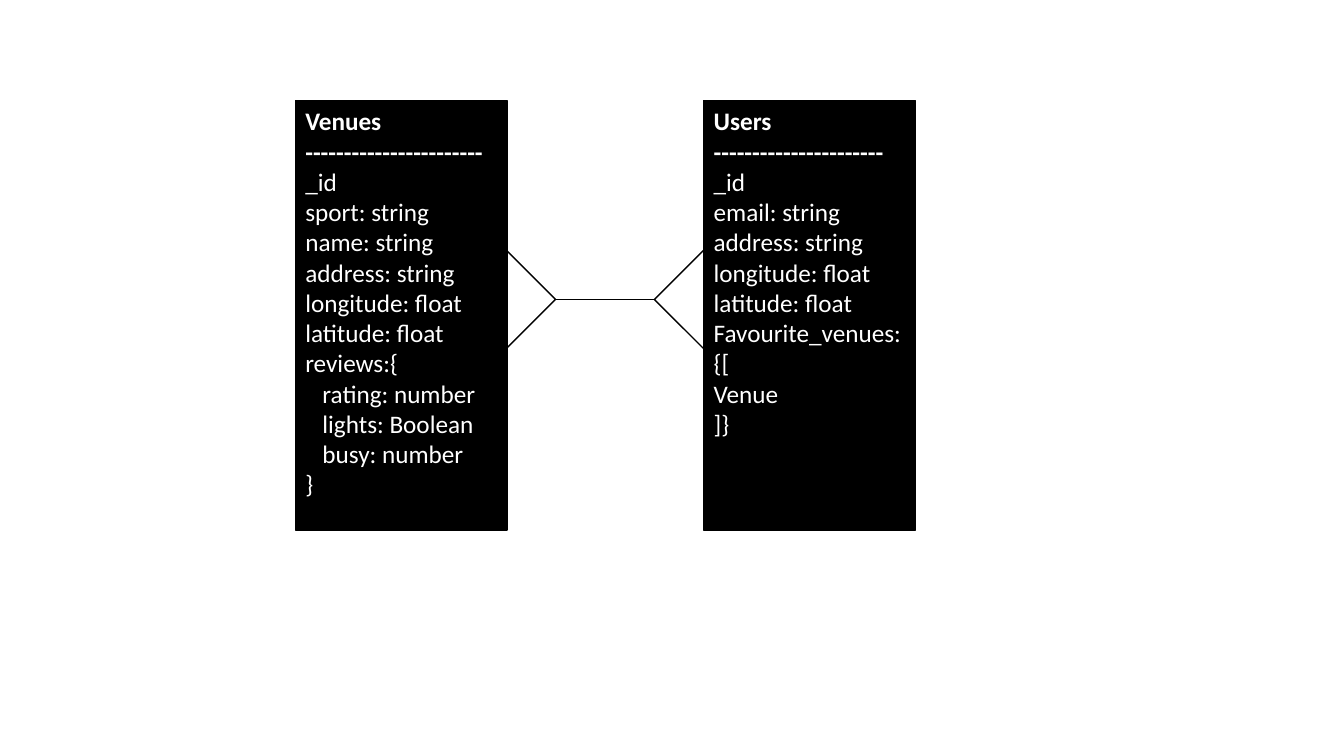
"""Builds a slide with two linked data models, Venues and Users."""
from lxml import etree
from pptx import Presentation
from pptx.dml.color import RGBColor
from pptx.enum.shapes import MSO_CONNECTOR, MSO_SHAPE
from pptx.enum.text import MSO_ANCHOR, PP_ALIGN
from pptx.oxml.ns import qn
from pptx.util import Inches, Pt

RECTANGLE, ARROW = MSO_SHAPE.RECTANGLE, MSO_SHAPE.RIGHT_ARROW
STRAIGHT = MSO_CONNECTOR.STRAIGHT
LEFT, TOP = PP_ALIGN.LEFT, MSO_ANCHOR.TOP
BLACK, WHITE, FONT = "000000", "FFFFFF", "Calibri"

MODELS = [
    ("Venues", "-" * 23, [
        (0, "_id"), (0, "sport: string"), (0, "name: string"),
        (0, "address: string"), (0, "longitude: float"),
        (0, "latitude: float"), (0, "reviews:{"),
        (1, "rating: number"), (1, "lights: Boolean"), (1, "busy: number"),
        (0, "}")]),
    ("Users", "-" * 22, [
        (0, "_id"), (0, "email: string"), (0, "address: string"),
        (0, "longitude: float"), (0, "latitude: float"),
        (0, "Favourite_venues:{["), (0, "Venue"), (0, "]}")]),
]

WIDTH, HEIGHT = 13.33, 7.5
BOX_LEFT, BOX_TOP, BOX_WIDTH, BOX_HEIGHT = 2.93, 1, 2.1, 4.26
BOX_STEP = 4.05
FORK_HEIGHT, LINK_Y = 1.01, 2.97
FORKS = [(3.65, 1.86, 0), (6.49, 1.11, 180)]
LINK_START, LINK_END = FORKS[0][0] + FORKS[0][1], FORKS[1][0]
INDENT = 0.17


def color(value):
    return RGBColor.from_string(value)


def outline(part, width):
    part.line.color.rgb = color(BLACK)
    part.line.width = Pt(width)


def add_outlined(slide, kind, left, top, width, height, fill=None):
    part = slide.shapes.add_shape(
        kind, Inches(left), Inches(top), Inches(width), Inches(height))
    part.shadow.inherit = False
    if fill:
        part.fill.solid()
        part.fill.fore_color.rgb = color(fill)
    else:
        part.fill.background()
    outline(part, 1)
    return part


def write(paragraph, text, size=18, bold=False, ink=WHITE, level=0):
    paragraph.alignment = LEFT
    if level:
        properties = paragraph._p.get_or_add_pPr()
        properties.set("marL", str(Inches(level * INDENT)))
        properties.set("indent", "0")
    run = paragraph.add_run()
    run.text = text
    run.font.name, run.font.size, run.font.bold = FONT, Pt(size), bold
    run.font.color.rgb = color(ink)


def add_fork(slide, left, width, rotation):
    fork = add_outlined(
        slide, ARROW, left, LINK_Y - FORK_HEIGHT / 2, width, FORK_HEIGHT)
    fork.adjustments[0], fork.adjustments[1] = 0, 0.5
    fork.rotation = rotation


def add_model(slide, column, name, rule, fields):
    box = add_outlined(slide, RECTANGLE, BOX_LEFT + column * BOX_STEP,
                       BOX_TOP, BOX_WIDTH, BOX_HEIGHT, fill=BLACK)
    frame = box.text_frame
    frame.word_wrap, frame.vertical_anchor = True, TOP
    write(frame.paragraphs[0], name, bold=True)
    write(frame.add_paragraph(), rule, bold=True)
    for level, field in fields:
        write(frame.add_paragraph(), field, level=level)


def add_link(slide):
    link = slide.shapes.add_connector(
        STRAIGHT, Inches(LINK_START), Inches(LINK_Y),
        Inches(LINK_END), Inches(LINK_Y))
    outline(link, 0.5)
    etree.SubElement(link._element.spPr, qn("a:effectLst"))


def main():
    deck = Presentation()
    deck.slide_width, deck.slide_height = Inches(WIDTH), Inches(HEIGHT)
    slide = deck.slides.add_slide(deck.slide_layouts[6])
    for fork in FORKS:
        add_fork(slide, *fork)
    for column, model in enumerate(MODELS):
        add_model(slide, column, *model)
    add_link(slide)
    deck.save("out.pptx")


if __name__ == "__main__":
    main()
